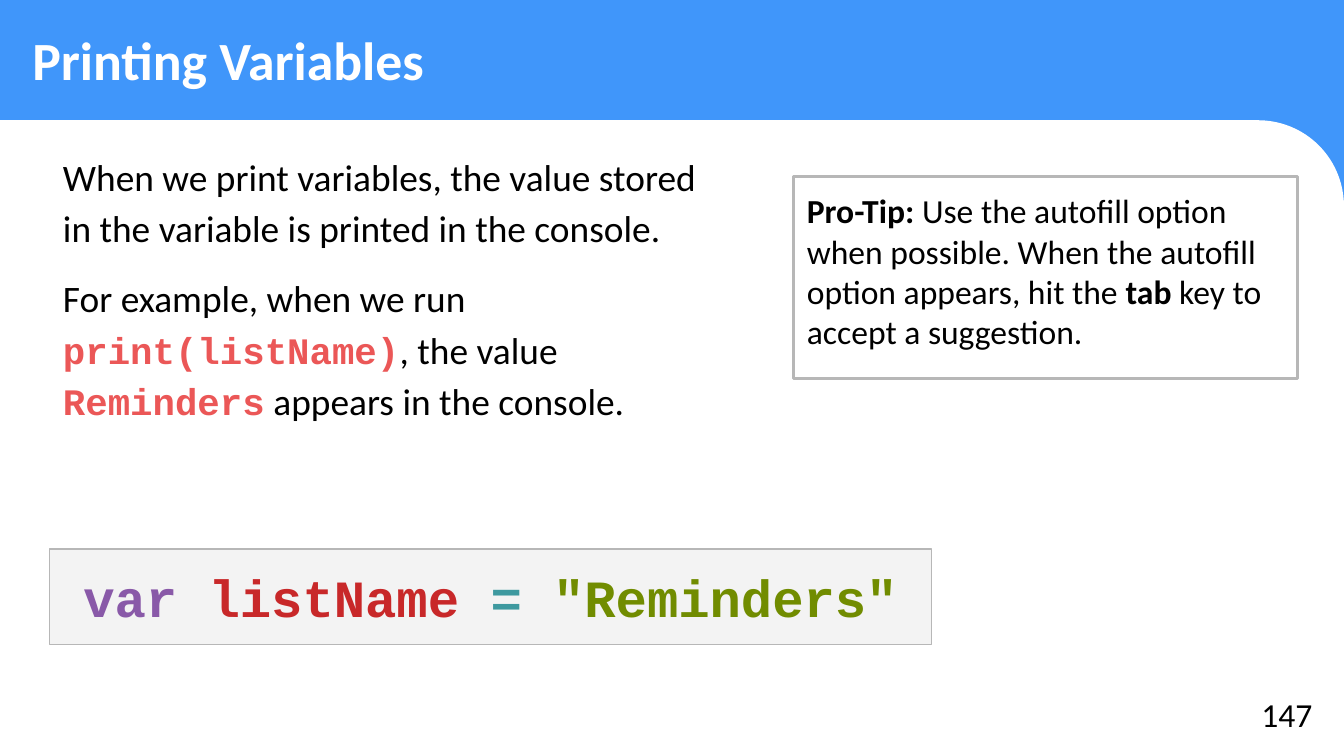
import dataclasses

import pptx
import pptx.dml.color
import pptx.enum.shapes
import pptx.enum.text
import pptx.util

PX = 4572  # 200 px to the inch
ALIGN = pptx.enum.text.PP_ALIGN
ANCHOR = pptx.enum.text.MSO_ANCHOR
SHAPE = pptx.enum.shapes.MSO_SHAPE


@dataclasses.dataclass(frozen=True)
class Theme:
    sans: str = "Calibri"
    mono: str = "Courier New"
    blue: str = "4096FA"
    white: str = "FFFFFF"
    black: str = "000000"
    coral: str = "EB5757"
    border: str = "B7B7B7"
    code_fill: str = "F3F3F3"
    code_text: str = "3C4040"
    keyword: str = "8959A8"
    variable: str = "C82829"
    operator: str = "3E999F"
    string: str = "718C00"
    title_size: float = 28.8
    code_size: int = 28
    body_size: int = 20
    small_size: int = 18


THEME = Theme()


def px(length):
    return pptx.util.Emu(length * PX)


def rgb(value):
    return pptx.dml.color.RGBColor.from_string(value)


def add_text(para, text, size=THEME.body_size, font=THEME.sans,
             color=THEME.black, bold=False):
    span = para.add_run()
    span.text = text
    span.font.size = pptx.util.Pt(size)
    span.font.name = font
    span.font.color.rgb = rgb(color)
    span.font.bold = bold


def set_frame(shape, anchor=ANCHOR.TOP, align=ALIGN.LEFT):
    """Set wrapping, margins and alignment; return the first paragraph."""
    frame = shape.text_frame
    frame.word_wrap = True
    frame.auto_size = pptx.enum.text.MSO_AUTO_SIZE.NONE
    frame.vertical_anchor = anchor
    frame.margin_left = frame.margin_right = px(20)
    frame.margin_top = frame.margin_bottom = px(20)
    para = frame.paragraphs[0]
    para.alignment = align
    return para


def add_box(page, box, kind=SHAPE.RECTANGLE, fill=None, line=None, weight=1):
    shape = page.shapes.add_shape(kind, *map(px, box))
    shape.shadow.inherit = False
    if fill:
        shape.fill.solid()
        shape.fill.fore_color.rgb = rgb(fill)
    else:
        shape.fill.background()
    if line:
        shape.line.color.rgb = rgb(line)
        shape.line.width = pptx.util.Pt(weight)
    else:
        shape.line.fill.background()
    return shape


def add_backdrop(page, box):
    page.background.fill.solid()
    page.background.fill.fore_color.rgb = rgb(THEME.blue)
    panel = add_box(page, box, SHAPE.ROUND_1_RECTANGLE, fill=THEME.white)
    panel.adjustments[0] = 0.135


def add_title(page, box):
    title = page.shapes.title
    title.left, title.top, title.width, title.height = map(px, box)
    add_text(set_frame(title), "Printing Variables", size=THEME.title_size,
             color=THEME.white, bold=True)


def add_page_number(page, box):
    number = page.shapes.add_textbox(*map(px, box))
    para = set_frame(number, ANCHOR.MIDDLE, ALIGN.RIGHT)
    add_text(para, "147", size=THEME.small_size)


def add_explanation(page, box):
    body = page.shapes.add_textbox(*map(px, box))
    intro = set_frame(body)
    add_text(intro, "When we print variables, the value stored in the "
                    "variable is printed in the console.")
    example = body.text_frame.add_paragraph()
    example.space_before = example.space_after = pptx.util.Pt(10)
    code = {"font": THEME.mono, "color": THEME.coral, "bold": True}
    add_text(example, "For example, when we run ")
    add_text(example, "print(listName)", **code)
    add_text(example, ", the value ")
    add_text(example, "Reminders", **code)
    add_text(example, " appears in the console.")
    for para in (intro, example):
        para.line_spacing = 1.15


def add_tip(page, box):
    tip = add_box(page, box, line=THEME.border, weight=1.5)
    para = set_frame(tip)
    for text, bold in (
        ("Pro-Tip: ", True),
        ("Use the autofill option when possible. When the autofill "
         "option appears, hit the ", False),
        ("tab", True),
        (" key to accept a suggestion.", False),
    ):
        add_text(para, text, size=THEME.small_size, bold=bold)


def add_code(page, box):
    code = add_box(page, box, fill=THEME.code_fill, line=THEME.border,
                   weight=0.75)
    para = set_frame(code, ANCHOR.MIDDLE, ALIGN.CENTER)
    style = {"size": THEME.code_size, "font": THEME.mono, "bold": True}
    tokens = (
        ("var", THEME.keyword),
        ("listName", THEME.variable),
        ("=", THEME.operator),
        ('"Reminders"', THEME.string),
    )
    for index, (text, color) in enumerate(tokens):
        if index:
            add_text(para, " ", color=THEME.code_text, **style)
        add_text(para, text, color=color, **style)


def main():
    deck = pptx.Presentation()
    deck.slide_width, deck.slide_height = px(2000), px(1125)
    page = deck.slides.add_slide(deck.slide_layouts[5])  # title only

    # Boxes are left, top, width, height
    add_backdrop(page, (-6, 179, 2006, 946))
    add_page_number(page, (1819, 1020, 154, 86))
    add_title(page, (28, 20, 1930, 150))
    add_explanation(page, (74, 199, 1030, 748))
    add_tip(page, (1181, 263, 750, 300))
    add_code(page, (74, 817, 1312, 142))
    deck.save("out.pptx")


if __name__ == "__main__":
    main()
